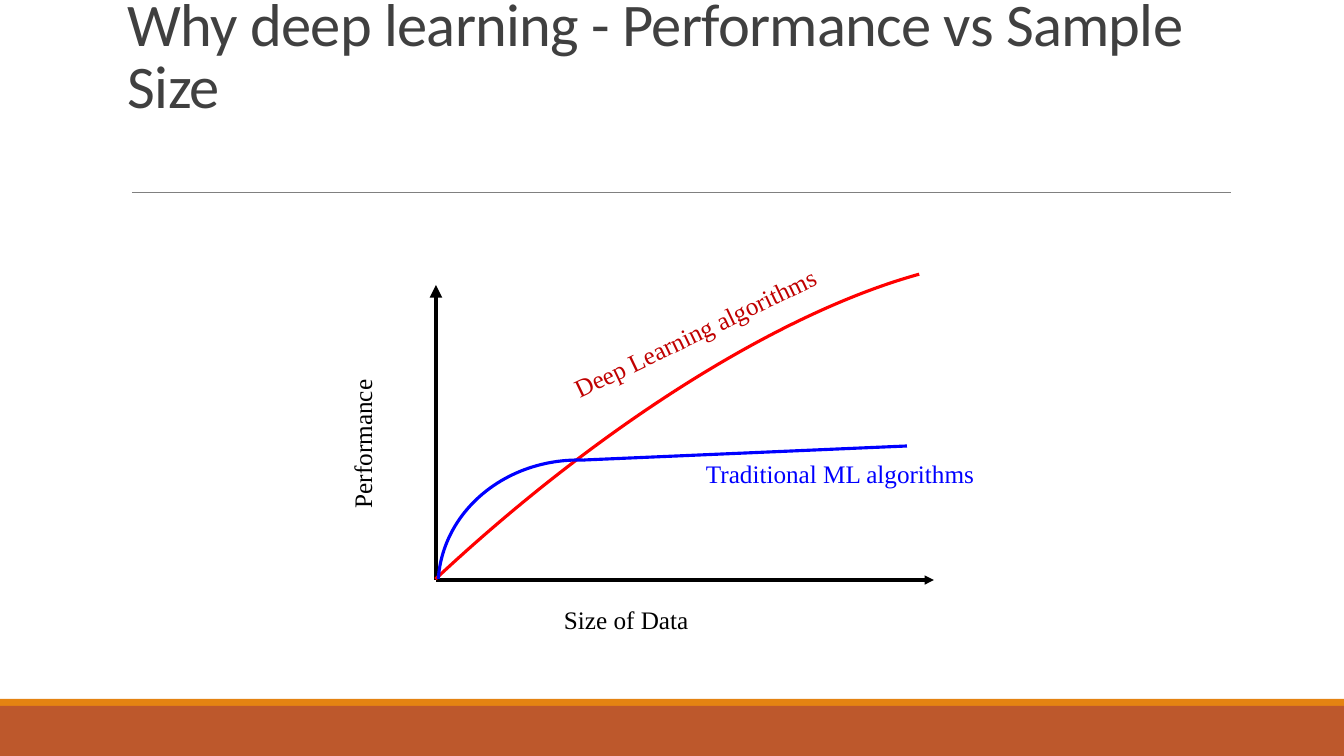
from pptx import Presentation
from pptx.dml.color import RGBColor
from pptx.enum.shapes import MSO_CONNECTOR, MSO_SHAPE
from pptx.enum.text import MSO_ANCHOR, PP_ALIGN
from pptx.oxml.ns import qn
from pptx.util import Emu, Pt
from lxml.etree import SubElement

SLIDE_W, SLIDE_H = 1344, 756
EMU_PER_PX = 12192000 / SLIDE_W
COLORS = {
    "title": "404040", "rule": "808080", "footer": "BD582C", "stripe": "E48312",
    "axis": "000000", "deep": "FF0000", "deep_label": "C00000", "traditional": "0000FF",
}


def px(n):
    return Emu(round(n * EMU_PER_PX))


def rgb(name):
    return RGBColor.from_string(COLORS[name])


def add_line(shapes, x1, y1, x2, y2, color, width, arrow=False):
    line = shapes.add_connector(MSO_CONNECTOR.STRAIGHT, px(x1), px(y1), px(x2), px(y2))
    line.line.color.rgb = rgb(color)
    line.line.width = Pt(width)
    if arrow:
        SubElement(line.line._get_or_add_ln(), qn("a:tailEnd"), type="triangle")
    SubElement(line._element.spPr, qn("a:effectLst"))


def add_arc(shapes, x, y, w, h, rotation, end, color):
    """Draw an arc from the top of its ellipse, clockwise to the end adjustment."""
    arc = shapes.add_shape(MSO_SHAPE.ARC, px(x), px(y), px(w), px(h))
    arc.adjustments[0], arc.adjustments[1] = 162, end
    arc.rotation = rotation
    arc.shadow.inherit = False
    arc.fill.background()
    arc.line.color.rgb = rgb(color)
    arc.line.width = Pt(2.25)


def add_text(shapes, x, y, w, h, text, color, size=18, font="Times New Roman"):
    tb = shapes.add_textbox(px(x), px(y), px(w), px(h))
    tf = tb.text_frame
    tf.word_wrap = True
    tf.text = text
    f = tf.paragraphs[0].runs[0].font
    f.name, f.size = font, Pt(size)
    f.color.rgb = rgb(color)
    return tb


def add_header(s, x, y, w, h):
    tf = add_text(s.shapes, x, y, w, h, "Why deep learning - Performance vs Sample Size",
                  "title", 43.2, "Calibri").text_frame
    tf.vertical_anchor = MSO_ANCHOR.BOTTOM
    p = tf.paragraphs[0]
    p.line_spacing = 0.85
    p.runs[0].font._element.set("spc", "-50")
    add_line(s.shapes, x + 14, y + h + 66, x + 1113, y + h + 66, "rule", 0.5)


def add_footer(s, x, y, w, h):
    stripe = 7
    for top, height, color in ((y, stripe, "stripe"), (y + stripe, h - stripe, "footer")):
        bar = s.shapes.add_shape(MSO_SHAPE.RECTANGLE, px(x), px(top), px(w), px(height))
        bar.shadow.inherit = False
        bar.fill.solid()
        bar.fill.fore_color.rgb = rgb(color)
        bar.line.fill.background()


def add_performance_plot(s, x, y, w, h):
    """Place axes along the left and bottom of the box, then curves and labels."""
    shapes, bottom = s.shapes, y + h
    add_line(shapes, x, bottom, x, y, "axis", 3, arrow=True)
    add_line(shapes, x, bottom, x + w, bottom, "axis", 2.25, arrow=True)

    add_arc(shapes, x - 514, y + 225, 1377, 512, 316.9, 207.134, "deep")
    traditional = shapes.add_group_shape().shapes
    add_arc(traditional, x + 16, y + 161, 257, 285, 273.9, 214.679, "traditional")
    add_line(traditional, x + 148, y + 175, x + 471, y + 161, "traditional", 2.25)

    add_text(shapes, x + 118, bottom + 19, 320, 40, "Size of Data", "axis")
    performance = add_text(shapes, x - 234, y + 139, 320, 40, "Performance", "axis")
    performance.rotation = 270
    performance.text_frame.paragraphs[0].alignment = PP_ALIGN.CENTER
    add_text(shapes, x + 260, y + 168, 396, 40, "Traditional ML algorithms", "traditional")
    deep = add_text(shapes, x + 111, y + 3, 396, 40, "Deep Learning algorithms", "deep_label")
    deep.rotation = 334.3


def main():
    prs = Presentation()
    prs.slide_width, prs.slide_height = px(SLIDE_W), px(SLIDE_H)
    s = prs.slides.add_slide(prs.slide_layouts[6])
    add_footer(s, 0, 699, SLIDE_W, 57)
    add_header(s, 118, 0, 1177, 126)
    add_performance_plot(s, 436, 285, 498, 295)
    prs.save("out.pptx")


if __name__ == "__main__":
    main()
